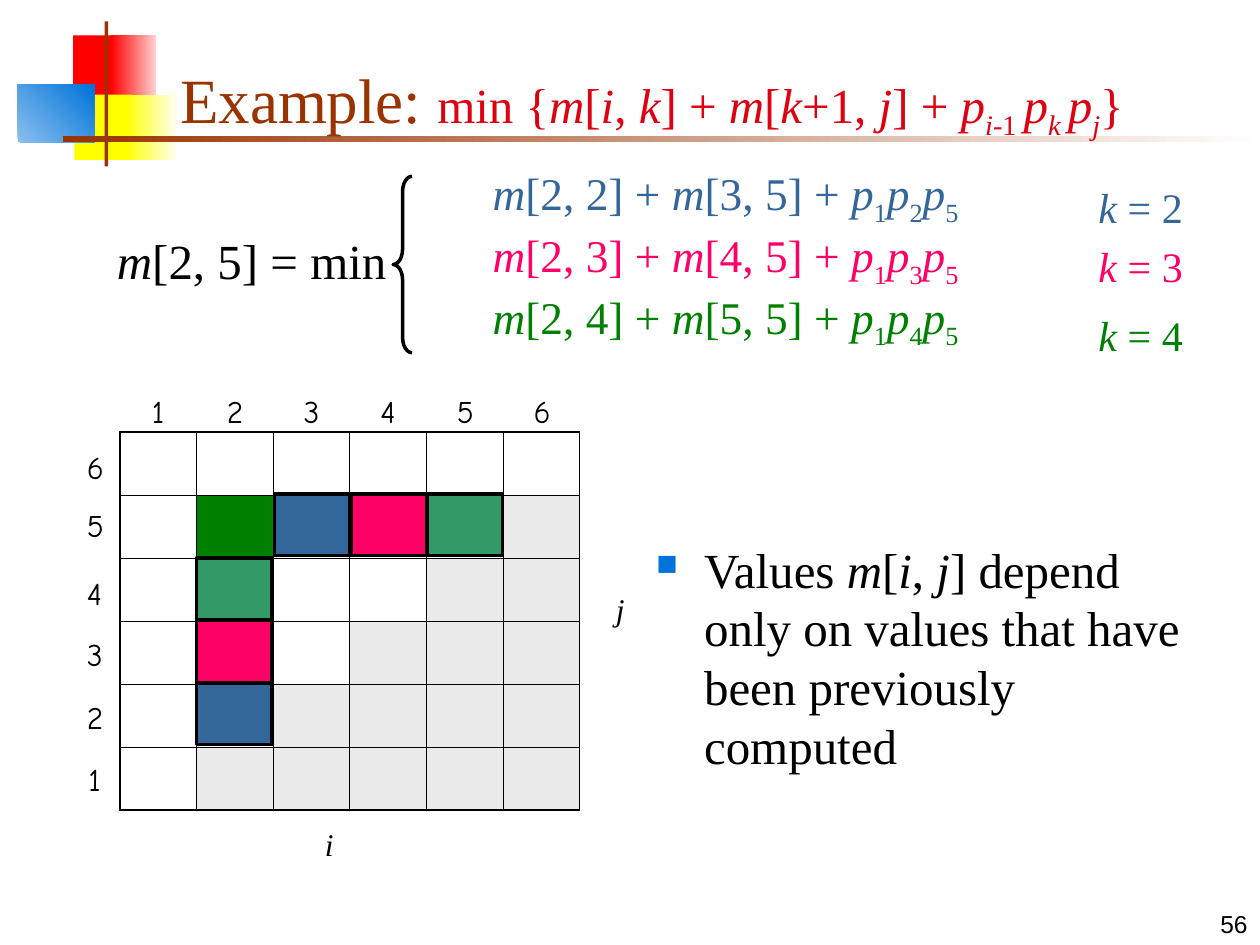
"""Build the matrix-chain example slide with its recurrence, table and dependency cells."""
from typing import NamedTuple

import lxml.etree
import pptx
import pptx.dml.color
import pptx.enum.shapes
import pptx.enum.text
import pptx.oxml.ns
import pptx.util
from pptx.util import Inches, Pt

COLORS = {
    "black": "000000", "brown": "993300", "formula": "DD0111", "bullet": "0073D9",
    "blue": "336699", "pink": "FF0066", "green": "008000", "teal": "339966",
    "grey": "EAEAEA", "target": "007F00", "white": "FFFFFF",
    "red": "FF0000", "pale_red": "FFD1D1", "yellow": "FFFF00", "pale_yellow": "FFFFF0",
    "sky": "8BBFEE",
}
SERIF, HAND, SANS = "Times New Roman", "Comic Neue", "Arial"
ALIGN, ANCHOR = pptx.enum.text.PP_ALIGN, pptx.enum.text.MSO_ANCHOR
SHAPE = pptx.enum.shapes.MSO_SHAPE
GRID_LEFT, GRID_TOP, GRID_SIZE = 0.95, 3.43, 6
COL_W, ROW_H = 3.65 / GRID_SIZE, 3 / GRID_SIZE


class Box(NamedTuple):
    left: float
    top: float
    width: float
    height: float

    def emu(self) -> list:
        return [Inches(v) for v in self]


class Style(NamedTuple):
    size: float
    color: str = "black"
    font: str = SERIF


class Span(NamedTuple):
    text: str
    italic: bool = False
    sub: bool = False


class Decor(NamedTuple):
    box: Box
    start: str
    end: str = ""
    angle: float = 0


class Case(NamedTuple):
    k: int
    color: str
    cell_color: str
    label_top: float


DECOR = [
    Decor(Box(0.58, 0.28, 0.35, 0.52), "red"),
    Decor(Box(0.88, 0.28, 0.36, 0.52), "red", "pale_red"),
    Decor(Box(0.59, 0.75, 0.46, 0.52), "yellow"),
    Decor(Box(1, 0.75, 0.4, 0.52), "yellow", "pale_yellow"),
    Decor(Box(0.14, 0.67, 0.61, 0.46), "sky", "bullet", 45),
    Decor(Box(0.83, 0.17, 0.03, 1.15), "brown"),
    Decor(Box(0.5, 1.08, 9.5, 0.05), "brown", "white"),
]
CASES = [
    Case(2, "blue", "blue", 1.39),
    Case(3, "pink", "pink", 1.86),
    Case(4, "green", "teal", 2.41),
]
ROW_LABEL_TOPS = {6: 3.51, 5: 3.97, 4: 4.51, 3: 4.99, 2: 5.49, 1: 5.98}


def rgb(name: str) -> pptx.dml.color.RGBColor:
    return pptx.dml.color.RGBColor.from_string(COLORS[name])


def var(text: str) -> Span:
    return Span(text, italic=True)


def add_spans(p, spans: list[Span], style: Style) -> None:
    for span in spans:
        r = p.add_run()
        r.text = span.text
        r.font.size, r.font.name = Pt(style.size), style.font
        r.font.color.rgb = rgb(style.color)
        r.font.bold, r.font.italic = False, span.italic
        if span.sub:
            r.font._element.set("baseline", "-25000")


def add_text(slide, box: Box, spans: list[Span], style: Style,
             wrap: bool = False, align=ALIGN.LEFT):
    sp = slide.shapes.add_textbox(*box.emu())
    tf = sp.text_frame
    tf.word_wrap = wrap
    p = tf.paragraphs[0]
    p.alignment = align
    add_spans(p, spans, style)
    return sp


def add_decor(slide, decor: Decor) -> None:
    sp = slide.shapes.add_shape(SHAPE.RECTANGLE, *decor.box.emu())
    sp.shadow.inherit = False
    sp.line.fill.background()
    if not decor.end:
        sp.fill.solid()
        sp.fill.fore_color.rgb = rgb(decor.start)
        return
    sp.fill.gradient()
    sp.fill.gradient_angle = decor.angle
    for stop, name in zip(sp.fill.gradient_stops, (decor.start, decor.end)):
        stop.color.rgb = rgb(name)


def add_outlined(slide, kind, box: Box, fill: str = ""):
    sp = slide.shapes.add_shape(kind, *box.emu())
    sp.shadow.inherit = False
    sp.line.color.rgb, sp.line.width = rgb("black"), Pt(2)
    if fill:
        sp.fill.solid()
        sp.fill.fore_color.rgb = rgb(fill)
    else:
        sp.fill.background()
    return sp


def child(parent, tag: str, **attrs: str):
    return lxml.etree.SubElement(parent, pptx.oxml.ns.qn(tag), **attrs)


def set_borders(cell, row: int, col: int) -> None:
    last = GRID_SIZE - 1
    outer = {"L": col == 0, "R": col == last, "T": row == 0, "B": row == last}
    for side, is_outer in outer.items():
        width = Pt(1.08 if is_outer else 0.45)
        ln = child(cell._tc.get_or_add_tcPr(), f"a:ln{side}", w=str(width))
        child(child(ln, "a:solidFill"), "a:srgbClr", val=COLORS["black"])


def add_grid(slide) -> None:
    box = Box(GRID_LEFT, GRID_TOP, COL_W * GRID_SIZE, ROW_H * GRID_SIZE)
    table = slide.shapes.add_table(GRID_SIZE, GRID_SIZE, *box.emu()).table
    table.first_row = table.horz_banding = False
    for row in range(GRID_SIZE):
        for col in range(GRID_SIZE):
            cell = table.cell(row, col)
            set_borders(cell, row, col)
            i, j = col + 1, GRID_SIZE - row
            fill = "target" if (i, j) == (2, 5) else "grey" if i > j else ""
            if fill:
                cell.fill.solid()
                cell.fill.fore_color.rgb = rgb(fill)
            else:
                cell.fill.background()
    for n, top in ROW_LABEL_TOPS.items():
        center = GRID_LEFT + (n - 0.5) * COL_W
        for left, label_top in ((center - 0.16, 3.06), (0.59, top)):
            add_text(slide, Box(left, label_top, 0.32, 0.4), [Span(str(n))],
                     Style(18, font=HAND), align=ALIGN.CENTER)
    for name, left, top in (("i", 2.48, 6.5), ("j", 4.79, 4.63)):
        add_text(slide, Box(left, top, 0.27, 0.4), [var(name)], Style(18))


def fill_title(slide) -> None:
    sp = slide.shapes.title
    sp.left, sp.top, sp.width, sp.height = Box(1.33, 0.25, 8.52, 0.92).emu()
    tf = sp.text_frame
    tf.auto_size = pptx.enum.text.MSO_AUTO_SIZE.NONE
    tf.vertical_anchor = ANCHOR.BOTTOM
    p = tf.paragraphs[0]
    p.alignment = ALIGN.LEFT
    add_spans(p, [Span("Example: ")], Style(36, "brown"))
    add_spans(p, [
        Span("min {"), var("m"), Span("["), var("i"), Span(", "), var("k"), Span("] + "),
        var("m"), Span("["), var("k"), Span("+1, "), var("j"), Span("] + "),
        var("p"), Span("i", True, True), Span("-1 ", sub=True),
        var("p"), Span("k ", True, True), var("p"), Span("j", True, True), Span("}"),
    ], Style(28, "formula"))
    slide.shapes.element.append(sp.element)


def fill_cases(slide) -> None:
    sp = slide.placeholders[1]
    sp.left, sp.top, sp.width, sp.height = Box(0.43, 1.31, 9.12, 1.51).emu()
    tf = sp.text_frame
    tf.auto_size = pptx.enum.text.MSO_AUTO_SIZE.NONE
    for n, case in enumerate(CASES):
        p = tf.add_paragraph() if n else tf.paragraphs[0]
        pPr = p._p.get_or_add_pPr()
        pPr.set("marL", str(Inches(3.38)))
        pPr.set("indent", "0")
        child(pPr, "a:buNone")
        p.line_spacing, p.space_before = 0.8, Pt(7 if n else 0)
        spans = [var("m"), Span(f"[2, {case.k}] + "), var("m"), Span(f"[{case.k + 1}, 5] + ")]
        for index in (1, case.k, 5):
            spans += [var("p"), Span(str(index), sub=True)]
        add_spans(p, spans, Style(25.9, case.color))
    slide.shapes.element.append(sp.element)


def add_remark(slide) -> None:
    spans = [Span("Values "), var("m"), Span("["), var("i"), Span(", "), var("j"),
             Span("] depend only on values that have been previously computed")]
    sp = add_text(slide, Box(5.11, 4.23, 4.65, 2.57), spans, Style(28), wrap=True)
    pPr = sp.text_frame.paragraphs[0]._p.get_or_add_pPr()
    pPr.set("marL", str(Inches(0.38)))
    pPr.set("indent", str(Inches(-0.38)))
    child(child(pPr, "a:buClr"), "a:srgbClr", val=COLORS["bullet"])
    child(pPr, "a:buSzPct", val="60000")
    child(pPr, "a:buChar", char="■")


def main() -> None:
    prs = pptx.Presentation()
    prs.slide_width, prs.slide_height = Inches(10), Inches(7.5)
    slide = prs.slides.add_slide(prs.slide_layouts[1])
    for decor in DECOR:
        add_decor(slide, decor)
    number = add_text(slide, Box(7.92, 7, 2.08, 0.5), [Span("56")], Style(14, font=SANS),
                      wrap=True, align=ALIGN.RIGHT)
    number.text_frame.vertical_anchor = ANCHOR.BOTTOM
    fill_title(slide)
    fill_cases(slide)
    add_grid(slide)
    brace = add_outlined(slide, SHAPE.LEFT_BRACE, Box(3.12, 1.4, 0.15, 1.4))
    brace.adjustments[0] = 0.8
    add_text(slide, Box(0.83, 1.78, 2.57, 0.68), [var("m"), Span("[2, 5] = min")],
             Style(28), wrap=True)
    for n, case in enumerate(CASES):
        for left, top in ((1.56, 5.42 - 0.495 * n), (2.18 + 0.605 * n, 3.92)):
            add_outlined(slide, SHAPE.RECTANGLE, Box(left, top, 0.6, 0.49), case.cell_color)
        add_text(slide, Box(8.62, case.label_top, 0.87, 0.5),
                 [var("k"), Span(f" = {case.k}")], Style(24, case.color))
    add_remark(slide)
    prs.save("out.pptx")


if __name__ == "__main__":
    main()
